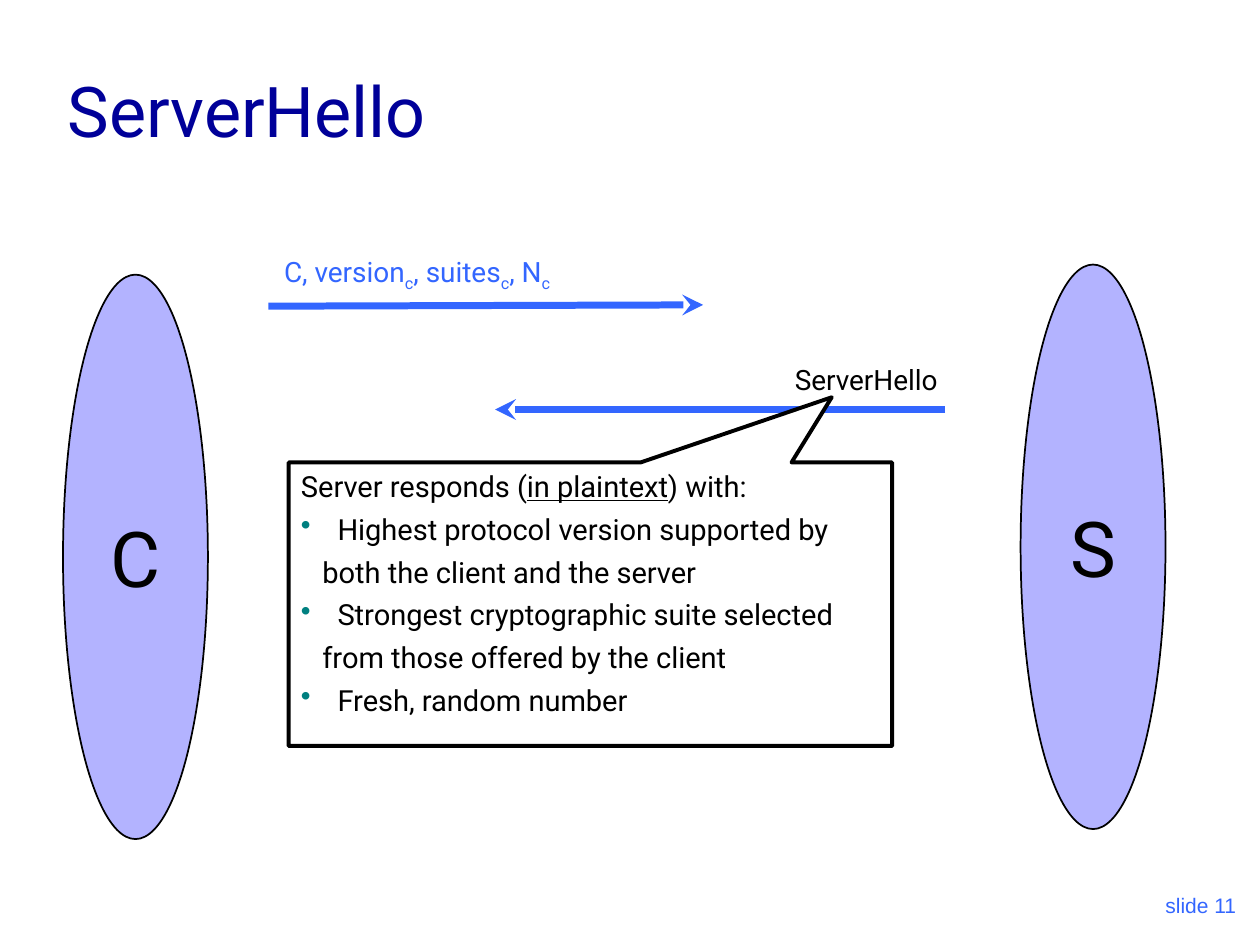
from dataclasses import dataclass

from lxml.etree import SubElement
from pptx import Presentation
from pptx.dml.color import RGBColor as Color
from pptx.enum.shapes import MSO_CONNECTOR as Connector, MSO_SHAPE as Shape
from pptx.enum.text import MSO_ANCHOR as Anchor, PP_ALIGN as Align
from pptx.oxml.ns import qn
from pptx.util import Inches, Pt


@dataclass(frozen=True)
class Theme:
    font: str = "Roboto"
    footer_font: str = "Arial"
    ink: str = "000000"
    paper: str = "FFFFFF"
    title: str = "000099"
    accent: str = "3366FF"
    party: str = "B3B3FF"
    bullet: str = "008080"
    title_size: float = 40
    party_size: float = 44
    label_size: float = 16
    note_size: float = 16.6
    footer_size: float = 12


THEME = Theme()
COLUMNS, ROWS = 100, 75


def write(para, text, size, color=THEME.ink, font=THEME.font, underline=False, subscript=False):
    span = para.add_run()
    span.text = text
    span.font.size = Pt(size)
    span.font.name = font
    span.font.color.rgb = Color.from_string(color)
    if underline:
        span.font.underline = True
    if subscript:
        span._r.get_or_add_rPr().set("baseline", "-25000")


def indent(para, margin, first=0, bullet=None):
    """Set the left margin and first-line offset in inches, with a coloured bullet if asked."""
    properties = para._p.get_or_add_pPr()
    properties.set("marL", str(Inches(margin)))
    properties.set("indent", str(Inches(first)))
    if bullet:
        color = SubElement(properties, qn("a:buClr"))
        SubElement(color, qn("a:srgbClr"), val=bullet)
        SubElement(properties, qn("a:buChar"), char="•")


class Sketch:
    """Draws on one slide, with lengths in grid columns and rows."""

    def __init__(self, deck, theme):
        self.theme = theme
        self.slide = deck.slides.add_slide(deck.slide_layouts[6])
        self.column = deck.slide_width / COLUMNS
        self.row = deck.slide_height / ROWS

    def place(self, *cells):
        """Turn alternating columns and rows into slide lengths."""
        units = (self.column, self.row)
        return [round(cell * units[index % 2]) for index, cell in enumerate(cells)]

    def label(self, area, spans, align=Align.LEFT, anchor=Anchor.TOP, wrap=False, **style):
        frame = self.slide.shapes.add_textbox(*self.place(*area)).text_frame
        frame.word_wrap = wrap
        frame.vertical_anchor = anchor
        para = frame.paragraphs[0]
        para.alignment = align
        for text, extra in spans:
            write(para, text, **style, **extra)

    def outlined(self, kind, area, fill, width):
        shape = self.slide.shapes.add_shape(kind, *self.place(*area))
        shape.shadow.inherit = False
        shape.fill.solid()
        shape.fill.fore_color.rgb = Color.from_string(fill)
        shape.line.color.rgb = Color.from_string(self.theme.ink)
        shape.line.width = Pt(width)
        return shape

    def party(self, name, left, top):
        shape = self.outlined(Shape.OVAL, (left, top, 11.5, 44.8), self.theme.party, 1)
        frame = shape.text_frame
        frame.word_wrap = False
        frame.vertical_anchor = Anchor.MIDDLE
        para = frame.paragraphs[0]
        para.alignment = Align.CENTER
        write(para, name, self.theme.party_size)

    def arrow(self, start, end):
        line = self.slide.shapes.add_connector(Connector.STRAIGHT, *self.place(*start, *end))
        line.line.color.rgb = Color.from_string(self.theme.accent)
        line.line.width = Pt(4)
        SubElement(line.line._get_or_add_ln(), qn("a:tailEnd"), type="stealth")
        SubElement(line._element.spPr, qn("a:effectLst"))

    def callout(self, area, tip, heading, points):
        """Draw a speech box: a heading, then bulleted points of one or more lines."""
        shape = self.outlined(Shape.RECTANGULAR_CALLOUT, area, self.theme.paper, 2.25)
        shape.adjustments[0], shape.adjustments[1] = tip
        frame = shape.text_frame
        frame.word_wrap = True
        frame.vertical_anchor = Anchor.TOP
        para = frame.paragraphs[0]
        para.alignment = Align.LEFT
        for text, extra in heading:
            write(para, text, self.theme.note_size, **extra)
        for point in points:
            for number, line in enumerate(point):
                para = frame.add_paragraph()
                para.alignment = Align.LEFT
                para.space_before = Pt(4.5)
                if number == 0:
                    indent(para, 0.29, -0.29, self.theme.bullet)
                else:
                    indent(para, 0.17)
                write(para, line, self.theme.note_size)


def main():
    deck = Presentation()
    deck.slide_width, deck.slide_height = Inches(10), Inches(7.5)
    sketch = Sketch(deck, THEME)
    low = {"subscript": True}

    sketch.label((78.3, 68.3, 20.8, 5), [("slide 11", {})], align=Align.RIGHT,
                 anchor=Anchor.BOTTOM, wrap=True, size=THEME.footer_size,
                 color=THEME.accent, font=THEME.footer_font)
    sketch.label((4.4, 2.5, 85, 10), [("ServerHello", {})], anchor=Anchor.BOTTOM,
                 wrap=True, size=THEME.title_size, color=THEME.title)

    sketch.party("C", 5, 21.8)
    sketch.arrow((21.3, 24.3), (55.8, 24.2))
    sketch.arrow((75, 32.5), (39.3, 32.5))
    sketch.label((21, 19.7, 24.2, 4.1),
                 [("C, version", {}), ("c", low), (", suites", {}), ("c", low),
                  (", N", {}), ("c", low)],
                 align=Align.CENTER, size=THEME.label_size, color=THEME.accent)
    sketch.label((62.1, 28.3, 14, 3.7), [("ServerHello", {})], size=THEME.label_size)
    sketch.party("S", 81, 21)

    sketch.callout(
        (22.9, 36.7, 47.9, 22.5), (0.4, -0.73),
        [("Server responds (", {}), ("in plaintext", {"underline": True}), (") with:", {})],
        [("Highest protocol version supported by", "both the client and the server"),
         ("Strongest cryptographic suite selected", "from those offered by the client"),
         ("Fresh, random number",)])

    deck.save("out.pptx")


if __name__ == "__main__":
    main()
